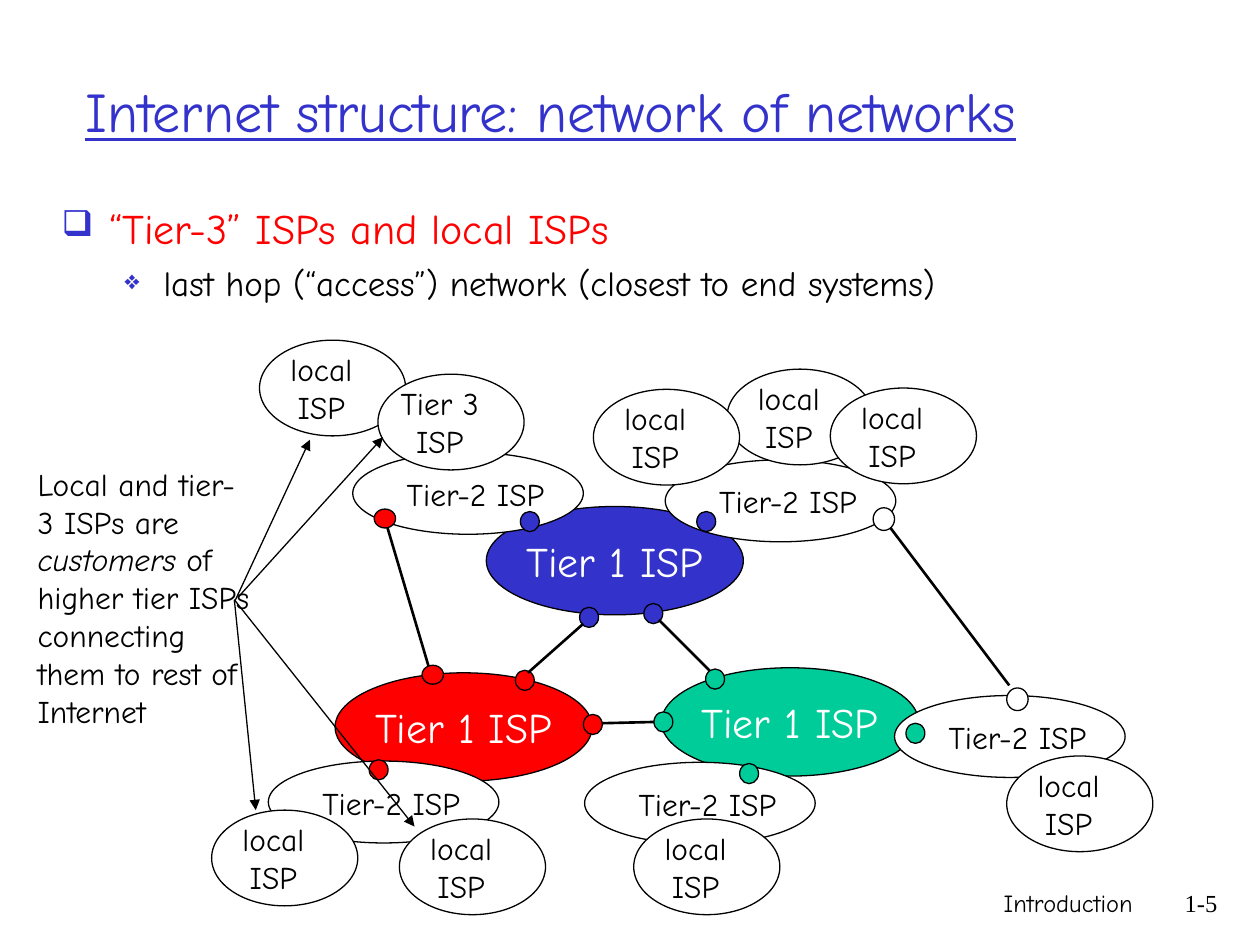
from dataclasses import dataclass

from lxml import etree
from pptx import Presentation
from pptx import util as u
from pptx.dml.color import RGBColor
from pptx.enum import shapes, text
from pptx.oxml import ns
from pptx.slide import Slide

BLACK = RGBColor(0x00, 0x00, 0x00)
WHITE = RGBColor(0xFF, 0xFF, 0xFF)
RED = RGBColor(0xFF, 0x00, 0x00)
BLUE = RGBColor(0x33, 0x33, 0xCC)
GREEN = RGBColor(0x00, 0xCC, 0x99)
FONT = "Comic Neue"
LEFT, CENTER, RIGHT = text.PP_ALIGN.LEFT, text.PP_ALIGN.CENTER, text.PP_ALIGN.RIGHT


@dataclass(frozen=True)
class Oval:
    left: float
    top: float
    width: float
    height: float
    color: RGBColor = WHITE


@dataclass(frozen=True)
class Link:
    start: tuple[float, float]
    end: tuple[float, float]


@dataclass(frozen=True)
class Bullet:
    wording: str
    symbol: str
    level: int
    size: int
    color: RGBColor
    indent: float
    hanging: float
    space: int
    scale: int


def tier_1(left: float, top: float, color: RGBColor) -> Oval:
    return Oval(left, top, 2.04, 0.86, color)


def tier_2(left: float, top: float) -> Oval:
    return Oval(left, top, 1.83, 0.65)


def small_isp(left: float, top: float) -> Oval:
    return Oval(left, top, 1.16, 0.76)


def node(left: float, top: float, color: RGBColor) -> Oval:
    return Oval(left, top, 0.15, 0.16, color)


def wide_node(left: float, top: float, color: RGBColor) -> Oval:
    return Oval(left, top, 0.17, 0.15 if color == RED else 0.18, color)


TIER_1 = [tier_1(2.66, 5.34, RED), tier_1(3.86, 4.02, BLUE), tier_1(5.25, 5.3, GREEN)]
TIER_1_NODES = [
    node(5.6, 5.31, GREEN), node(5.11, 4.79, BLUE), node(4.6, 4.82, BLUE),
    node(4.09, 5.32, RED), node(4.63, 5.67, RED), node(5.19, 5.65, GREEN),
]
TIER_1_LINKS = [
    Link((4.78, 5.74), (5.19, 5.73)),
    Link((5.23, 4.92), (5.63, 5.32)),
    Link((4.19, 5.34), (4.63, 4.95)),
]
TIER_2 = [
    (tier_2(5.28, 3.65), node(5.53, 4.06, BLUE)),
    (tier_2(2.8, 3.59), node(4.13, 4.06, BLUE)),
    (tier_2(2.13, 6.04), node(2.93, 6.03, RED)),
    (tier_2(4.64, 6.05), node(5.87, 6.06, GREEN)),
    (tier_2(7.1, 5.52), node(7.19, 5.74, GREEN)),
]
TIER_2_NODES = [
    wide_node(2.97, 4.04, RED), wide_node(3.35, 5.28, RED),
    wide_node(6.93, 4.03, WHITE), wide_node(7.99, 5.46, WHITE),
]
TIER_2_LINKS = [Link((3.07, 4.17), (3.42, 5.35)), Link((7.06, 4.18), (8.01, 5.44))]
SMALL_ISPS = [
    (small_isp(5.77, 2.93), "local"), (small_isp(4.71, 3.09), "local"),
    (small_isp(6.59, 3.08), "local"), (small_isp(1.68, 6.43), "local"),
    (small_isp(2.06, 2.7), "local"), (small_isp(3, 2.97), "Tier 3"),
    (small_isp(3.17, 6.5), "local"), (small_isp(5.03, 6.5), "local"),
    (small_isp(7.99, 6), "local"),
]
CUSTOMER_ARROWS = [
    Link((1.86, 4.78), (2.46, 3.49)), Link((1.89, 4.74), (3.04, 3.47)),
    Link((1.86, 4.76), (2.03, 6.43)), Link((1.86, 4.76), (3.29, 6.56)),
]
BULLETS = [
    Bullet("“Tier-3” ISPs and local ISPs", "❑", 0, 24, RED, 0.38, 0.38, 6, 85),
    Bullet("last hop (“access”) network (closest to end systems)",
           "❖", 1, 20, BLACK, 0.81, 0.31, 5, 75),
]


def add_run(paragraph, wording: str, *, size=18, color=BLACK, font=FONT,
            underline=None, italic=None) -> None:
    run = paragraph.add_run()
    run.text = wording
    run.font.name, run.font.size = font, u.Pt(size)
    run.font.color.rgb = color
    run.font.underline, run.font.italic = underline, italic


def add_text(slide: Slide, lines: list[str], left: float, top: float, width: float,
             height: float, *, wrap=True, align=LEFT, anchor=text.MSO_ANCHOR.TOP, **style):
    box = slide.shapes.add_textbox(*map(u.Inches, (left, top, width, height)))
    frame = box.text_frame
    frame.word_wrap, frame.vertical_anchor = wrap, anchor
    for index, line in enumerate(lines):
        paragraph = frame.add_paragraph() if index else frame.paragraphs[0]
        paragraph.alignment = align
        for position, part in enumerate(line.split("*")):
            add_run(paragraph, part, italic=position % 2 == 1 or None, **style)


def add_bullets(slide: Slide, bullets: list[Bullet]) -> None:
    box = slide.shapes.add_textbox(*map(u.Inches, (0.39, 1.56, 9.23, 1)))
    frame = box.text_frame
    frame.word_wrap = True
    for index, bullet in enumerate(bullets):
        paragraph = frame.add_paragraph() if index else frame.paragraphs[0]
        paragraph.level, paragraph.space_before = bullet.level, u.Pt(bullet.space)
        add_run(paragraph, bullet.wording, size=bullet.size, color=bullet.color)
        properties = paragraph._p.get_or_add_pPr()
        properties.set("marL", str(u.Inches(bullet.indent)))
        properties.set("indent", str(-u.Inches(bullet.hanging)))
        color = etree.SubElement(properties, ns.qn("a:buClr"))
        etree.SubElement(color, ns.qn("a:srgbClr"), val=str(BLUE))
        etree.SubElement(properties, ns.qn("a:buSzPct"), val=str(bullet.scale * 1000))
        etree.SubElement(properties, ns.qn("a:buChar"), char=bullet.symbol)


def add_oval(slide: Slide, oval: Oval, label: str = "") -> None:
    shape = slide.shapes.add_shape(
        shapes.MSO_SHAPE.OVAL,
        *map(u.Inches, (oval.left, oval.top, oval.width, oval.height)))
    shape.shadow.inherit = False
    shape.fill.solid()
    shape.fill.fore_color.rgb = oval.color
    shape.line.color.rgb, shape.line.width = BLACK, u.Pt(0.75)
    if label:
        frame = shape.text_frame
        frame.word_wrap, frame.vertical_anchor = False, text.MSO_ANCHOR.MIDDLE
        frame.paragraphs[0].alignment = CENTER
        add_run(frame.paragraphs[0], label, size=24, color=WHITE)


def add_link(slide: Slide, link: Link, *, width: float = 1.5, arrow: bool = False) -> None:
    connector = slide.shapes.add_connector(
        shapes.MSO_CONNECTOR.STRAIGHT, *map(u.Inches, link.start + link.end))
    connector.line.color.rgb, connector.line.width = BLACK, u.Pt(width)
    if arrow:
        etree.SubElement(connector.line._get_or_add_ln(), ns.qn("a:tailEnd"), type="triangle")
    etree.SubElement(connector._element.spPr, ns.qn("a:effectLst"))


def main() -> None:
    presentation = Presentation()
    presentation.slide_width, presentation.slide_height = u.Inches(10), u.Inches(7.5)
    slide = presentation.slides.add_slide(presentation.slide_layouts[6])

    add_text(slide, ["Introduction"], 5.92, 7, 3.17, 0.5, align=RIGHT, size=14)
    add_text(slide, ["1-5"], 9.08, 7, 0.68, 0.5, align=RIGHT, size=14, font="Times New Roman")
    add_text(slide, ["Internet structure: network of networks"], 0.58, 0.25, 8.85, 1.25,
             anchor=text.MSO_ANCHOR.MIDDLE, size=32, color=BLUE, underline=True)
    add_bullets(slide, BULLETS)

    for oval in TIER_1:
        add_oval(slide, oval, "Tier 1 ISP")
    for oval in TIER_1_NODES:
        add_oval(slide, oval)
    for link in TIER_1_LINKS:
        add_link(slide, link)
    for oval, gateway in TIER_2:
        add_oval(slide, oval)
        add_text(slide, ["Tier-2 ISP"], oval.left + 0.33, oval.top + 0.13, 1.3, 0.4, wrap=False)
        add_oval(slide, gateway)
    for link in TIER_2_LINKS:
        add_link(slide, link)
    for oval in TIER_2_NODES:
        add_oval(slide, oval)
    for oval, kind in SMALL_ISPS:
        add_oval(slide, oval)
        add_text(slide, [kind, "ISP"], oval.left + 0.08, oval.top + 0.03, 0.82, 0.7,
                 wrap=False, align=CENTER)
    add_text(slide, ["Local and tier- 3 ISPs are *customers* of", "higher tier ISPs",
                     "connecting them to rest of Internet"], 0.2, 3.64, 1.96, 2.2)
    for link in CUSTOMER_ARROWS:
        add_link(slide, link, width=0.75, arrow=True)

    presentation.save("out.pptx")


if __name__ == "__main__":
    main()
